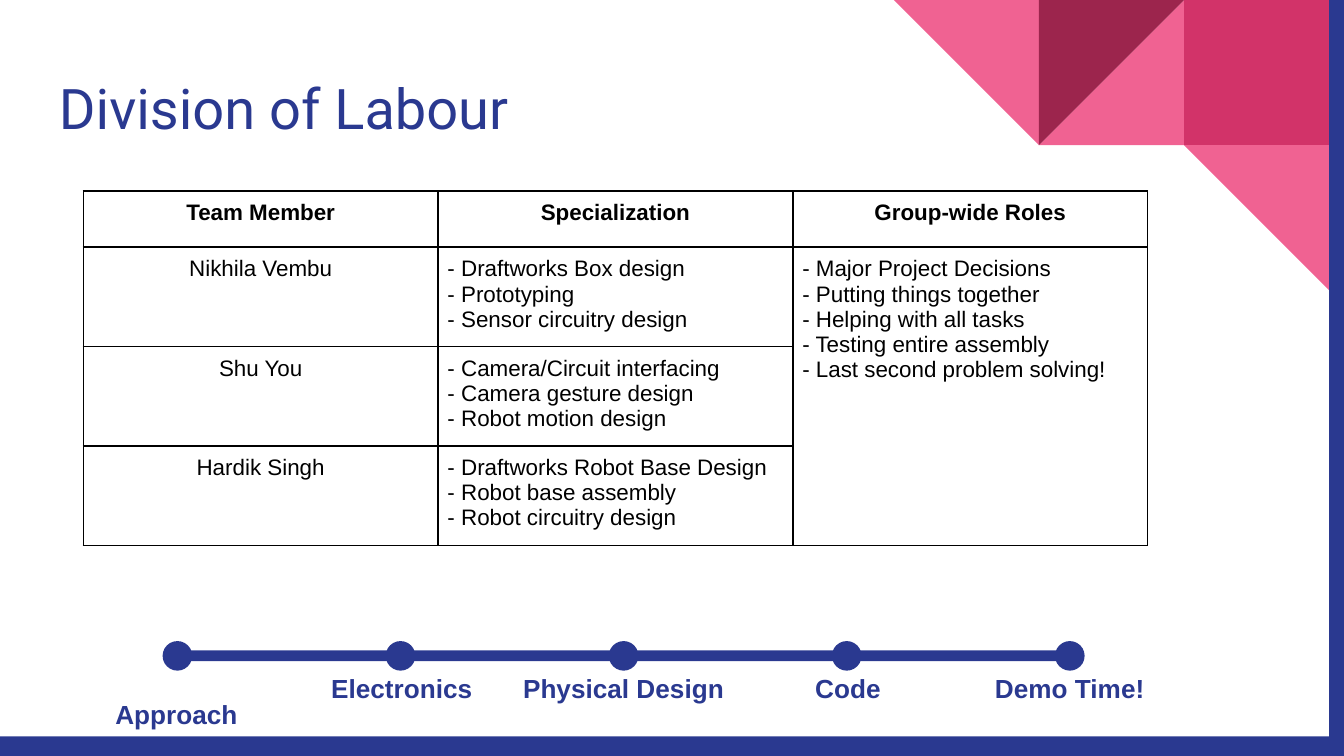
"""Build the Division of Labour slide."""
from lxml.etree import SubElement as Sub
from pptx import Presentation
from pptx.dml.color import RGBColor
from pptx.enum.shapes import MSO_SHAPE as Kind
from pptx.enum.text import PP_ALIGN as Align
from pptx.oxml.ns import qn
from pptx.util import Inches, Pt

NAVY, PINK, ROSE, WINE = "2A3990", "F06292", "D23369", "9C254D"
BLACK = "000000"
HEADS = ["Team Member", "Specialization", "Group-wide Roles"]
TEAM = [
    ("Nikhila Vembu", ["Draftworks Box design", "Prototyping",
                       "Sensor circuitry design"]),
    ("Shu You", ["Camera/Circuit interfacing", "Camera gesture design",
                 "Robot motion design"]),
    ("Hardik Singh", ["Draftworks Robot Base Design", "Robot base assembly",
                      "Robot circuitry design"]),
]
ROLES = ["Major Project Decisions", "Putting things together",
         "Helping with all tasks", "Testing entire assembly",
         "Last second problem solving!"]
STEPS = [("Approach", 0.76, 5.1, 1.16, Align.LEFT),
         ("Electronics", 2.31, 4.9, 1.36, Align.CENTER),
         ("Physical Design", 3.79, 4.9, 1.7, Align.CENTER),
         ("Code", 5.46, 4.9, 1.7, Align.CENTER),
         ("Demo Time!", 7.11, 4.9, 1.7, Align.CENTER)]
WIDE, ROW, COL = 10, 0.42, 2.64
TALL = WIDE * 9 / 16
TILE, EDGE = 1.08, 6.65
TILES = [(1, 0, Kind.RIGHT_TRIANGLE, 270, PINK),
         (0, 0, Kind.RIGHT_TRIANGLE, 180, PINK),
         (2, 0, Kind.RECTANGLE, 0, ROSE),
         (1, 0, Kind.RIGHT_TRIANGLE, 90, WINE),
         (2, 1, Kind.RIGHT_TRIANGLE, 180, PINK)]


def color(code):
    return RGBColor.from_string(code)


def draw(slide, kind, box, fill, turn=0):
    shape = slide.shapes.add_shape(kind, *map(Inches, box))
    shape.shadow.inherit = False
    shape.fill.solid()
    shape.fill.fore_color.rgb = color(fill)
    shape.line.fill.background()
    shape.rotation = turn


def write(frame, lines, size, face, code, bold=False, align=Align.LEFT):
    for i, line in enumerate(lines):
        para = frame.add_paragraph() if i else frame.paragraphs[0]
        para.alignment = align
        run = para.add_run()
        run.text = line
        font = run.font
        font.size, font.name, font.bold = Pt(size), face, bold
        font.color.rgb = color(code)


def label(slide, box, text, size, face, bold, align):
    frame = slide.shapes.add_textbox(*map(Inches, box)).text_frame
    frame.word_wrap = True
    frame.margin_left = frame.margin_right = Inches(0.1)
    frame.margin_top = frame.margin_bottom = Inches(0.1)
    write(frame, [text], size, face, NAVY, bold, align)


def style(cell):
    cell.margin_left = cell.margin_right = Inches(0.07)
    cell.margin_top = cell.margin_bottom = Inches(0.07)
    props = cell._tc.get_or_add_tcPr()
    for side in ("a:lnL", "a:lnR", "a:lnT", "a:lnB"):
        line = Sub(props, qn(side), w=str(Pt(1)))
        Sub(Sub(line, qn("a:solidFill")), qn("a:srgbClr"), val=BLACK)
    cell.fill.background()


def dash(items):
    return [f"- {item}" for item in items]


def grid(slide):
    rows, cols = len(TEAM) + 1, len(HEADS)
    box = map(Inches, (0.62, 1.42, cols * COL, rows * ROW))
    table = slide.shapes.add_table(rows, cols, *box).table
    table.first_row = table.horz_banding = False
    for col in table.columns:
        col.width = Inches(COL)
    for row in table.rows:
        row.height = Inches(ROW)
        for cell in row.cells:
            style(cell)
    table.cell(1, 2).merge(table.cell(len(TEAM), 2))

    def put(row, col, lines, bold=False, align=Align.LEFT):
        frame = table.cell(row, col).text_frame
        write(frame, lines, 12, "Arial", BLACK, bold, align)

    for col, head in enumerate(HEADS):
        put(0, col, [head], True, Align.CENTER)
    for row, (name, tasks) in enumerate(TEAM, 1):
        put(row, 0, [name], align=Align.CENTER)
        put(row, 1, dash(tasks))
    put(1, 2, dash(ROLES))


def main():
    deck = Presentation()
    deck.slide_width, deck.slide_height = Inches(WIDE), Inches(TALL)
    slide = deck.slides.add_slide(deck.slide_layouts[6])
    draw(slide, Kind.RECTANGLE, (0, 5.48, WIDE, TALL - 5.48), NAVY)
    for col, row, kind, turn, fill in TILES:
        box = (EDGE + col * TILE, row * TILE, TILE, TILE)
        draw(slide, kind, box, fill, turn)
    draw(slide, Kind.RECTANGLE, (9.89, 0, 0.11, TALL), NAVY)
    draw(slide, Kind.RECTANGLE, (1.32, 4.84, 6.67, 0.08), NAVY)
    for i in range(len(STEPS)):
        draw(slide, Kind.OVAL, (1.21 + i * 1.66, 4.77, 0.22, 0.22), NAVY)
    label(slide, (0.34, 0.45, 9.32, 0.66), "Division of Labour",
          30, "Roboto", False, Align.LEFT)
    for text, left, top, width, align in STEPS:
        label(slide, (left, top, width, 0.41), text, 14, "Arial", True, align)
    grid(slide)
    deck.save("out.pptx")


if __name__ == "__main__":
    main()
